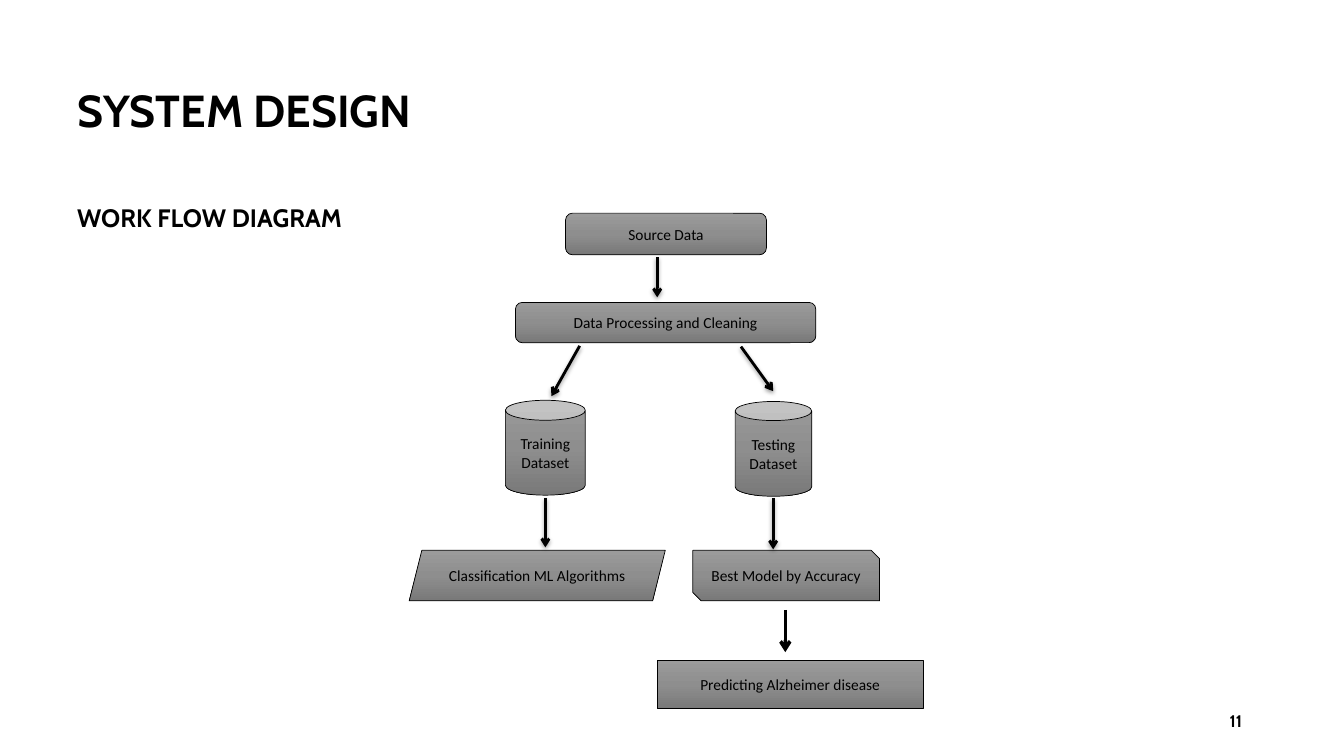
from copy import deepcopy
from lxml.etree import SubElement as Sub
from pptx import Presentation
from pptx.dml.color import RGBColor as Rgb
from pptx.enum.shapes import MSO_CONNECTOR as Link, MSO_SHAPE as Form
from pptx.enum.text import MSO_ANCHOR as Anchor, MSO_AUTO_SIZE as Auto, PP_ALIGN as Align
from pptx.oxml.ns import qn
from pptx.util import Inches, Pt

WIDE, HIGH = Inches(13.33), Inches(7.5)
HEX = {"ink": "000000", "light": "9B9B9B", "mid": "8E8E8E", "dark": "797979"}
SHADE = [(0, "light"), (0.5, "mid"), (1, "dark")]
HEAD, BODY = "Cabin", "Calibri"


def tint(name):
    return Rgb.from_string(HEX[name])


def place(*spot):
    """Turn percent shares of the slide (x, y, x, y) into lengths."""
    return [int(side * part / 100) for side, part in zip((WIDE, HIGH) * 2, spot)]


def write(frame, text, size=11, font=BODY, bold=False, align=Align.CENTER,
          anchor=Anchor.MIDDLE, space=None):
    frame.word_wrap = True
    frame.auto_size = Auto.NONE
    frame.vertical_anchor = anchor
    para = frame.paragraphs[0]
    para.alignment = align
    if space:
        para.line_spacing = space
    run = para.add_run()
    run.text = text
    run.font.size, run.font.name, run.font.bold = Pt(size), font, bold
    run.font.color.rgb = tint("ink")


def label(slide, text, spot, **style):
    box = slide.shapes.add_textbox(*place(*spot))
    write(box.text_frame, text, font=HEAD, bold=True, **style)


def title(slide, text, spot, **style):
    head = slide.shapes.title
    head.left, head.top, head.width, head.height = place(*spot)
    write(head.text_frame, text, font=HEAD, bold=True, **style)


def shade(shape):
    """Fill from light at the top to dark at the bottom."""
    shape.fill.gradient()
    shape.fill.gradient_angle = 270
    stops = next(shape._element.spPr.iter(qn("a:gsLst")))
    stops.insert(1, deepcopy(stops[0]))
    for stop, (share, name) in zip(shape.fill.gradient_stops, SHADE):
        stop.position = share
        stop.color.rgb = tint(name)


def node(slide, form, text, spot):
    shape = slide.shapes.add_shape(form, *place(*spot))
    shape.shadow.inherit = False
    shade(shape)
    shape.line.color.rgb = tint("ink")
    shape.line.width = Pt(0.5)
    write(shape.text_frame, text)


def arrow(slide, ends, width=2, glow=True):
    link = slide.shapes.add_connector(Link.STRAIGHT, *place(*ends))
    link.line.color.rgb = tint("ink")
    link.line.width = Pt(width)
    props = link._element.spPr
    Sub(props.find(qn("a:ln")), qn("a:tailEnd"), type="arrow")
    effect = Sub(props, qn("a:effectLst"))
    if glow:
        cast = Sub(effect, qn("a:outerShdw"), blurRad=str(Pt(3.1)),
                   dist=str(Pt(1.6)), dir="5400000", rotWithShape="0")
        color = Sub(cast, qn("a:srgbClr"), val=HEX["ink"])
        Sub(color, qn("a:alpha"), val="38000")


def main():
    deck = Presentation()
    deck.slide_width, deck.slide_height = WIDE, HIGH
    slide = deck.slides.add_slide(deck.slide_layouts[5])

    # Headings
    head = dict(align=Align.LEFT, anchor=Anchor.BOTTOM, space=0.9)
    title(slide, "SYSTEM DESIGN", (5, 6.13, 86.25, 12.67), size=32, **head)
    label(slide, "WORK FLOW DIAGRAM", (5, 18.8, 86.25, 12.67), size=18, **head)

    # Steps of the work flow
    for step in [
        (Form.ROUNDED_RECTANGLE, "Source Data", (42.08, 28.2, 14.95, 5.5)),
        (Form.ROUNDED_RECTANGLE, "Data Processing and Cleaning", (38.35, 40, 22.35, 5.33)),
        (Form.CAN, "Training Dataset", (37.6, 52.95, 5.95, 12.55)),
        (Form.CAN, "Testing Dataset", (54.7, 53.1, 5.7, 12.55)),
        (Form.PARALLELOGRAM, "Classification ML Algorithms", (30.45, 72.8, 19.05, 6.67)),
        (Form.SNIP_2_DIAG_RECTANGLE, "Best Model by Accuracy", (51.55, 72.8, 13.9, 6.67)),
        (Form.RECTANGLE, "Predicting Alzheimer disease", (48.9, 87.35, 19.8, 6.4)),
    ]:
        node(slide, *step)

    # Arrows between the steps
    train, test = 40.58, 57.53
    for ends in [
        (48.9, 34, 48.9, 39.33),
        (43.13, 45.75, 41.03, 52.4),
        (55.13, 45.85, test, 51.75),
        (train, 65.85, train, 72.4),
        (test, 65.85, test, 72.67),
    ]:
        arrow(slide, ends)
    arrow(slide, (58.43, 80.67, 58.43, 86.27), width=2.5, glow=False)

    # Page number
    label(slide, "11", (70.65, 92.67, 22.5, 5.33), size=12, align=Align.RIGHT)
    deck.save("out.pptx")


if __name__ == "__main__":
    main()
